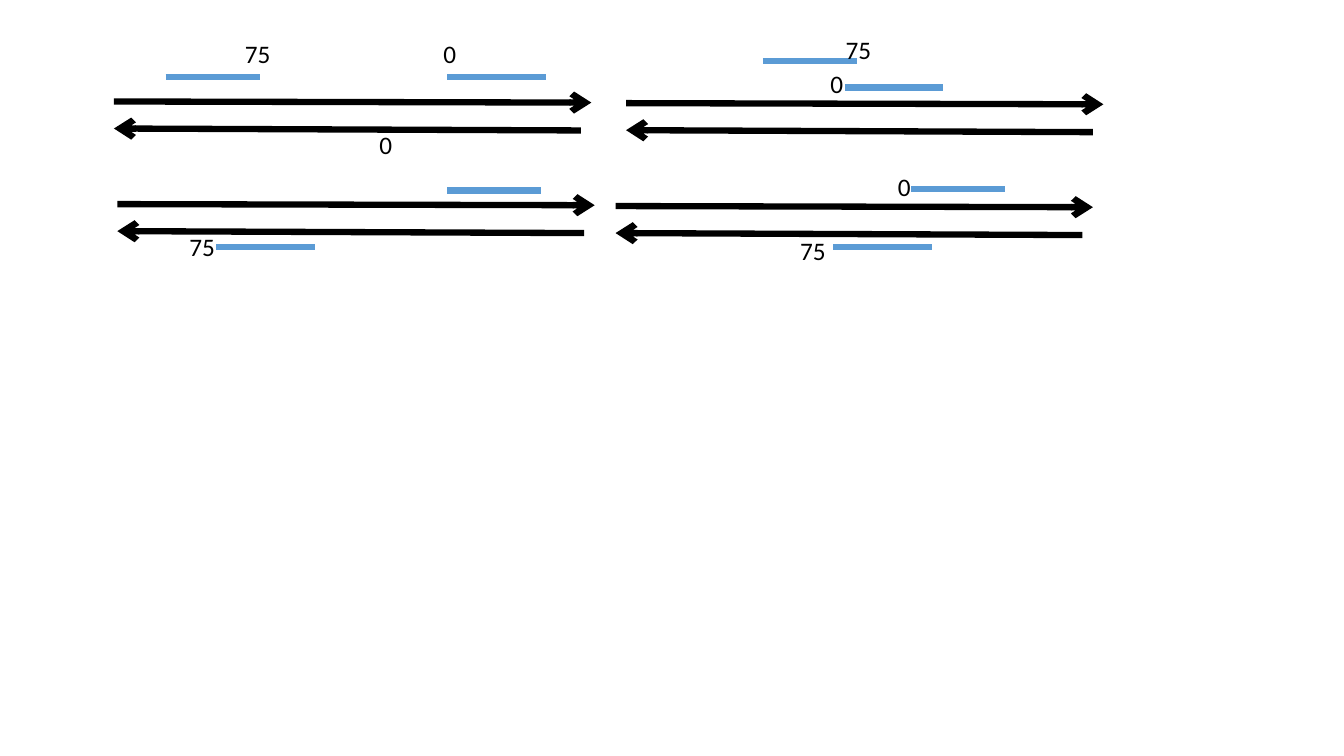
from pptx import Presentation
from pptx.dml.color import RGBColor
from pptx.enum import shapes, text
from pptx.oxml.ns import qn
from pptx.util import Pt
from lxml import etree

BLACK = RGBColor(0, 0, 0)
BLUE = RGBColor(0x5B, 0x9B, 0xD5)
STRAND_LENGTH = 341
REVERSE_LENGTH = 333.5
REVERSE_GAP = 19.3
SHORT_READ = 67
LONG_READ = 70.3

presentation = Presentation()
presentation.slide_width = Pt(960)
presentation.slide_height = Pt(540)
slide = presentation.slides.add_slide(presentation.slide_layouts[6])


def add_line(left, top, length, drop, color, arrow_end=None):
    connector = slide.shapes.add_connector(
        shapes.MSO_CONNECTOR.STRAIGHT,
        Pt(left), Pt(top), Pt(left + length), Pt(top + drop))
    connector.line.color.rgb = color
    connector.line.width = Pt(4.5)
    if arrow_end:
        line = connector.line._get_or_add_ln()
        etree.SubElement(line, qn("a:" + arrow_end), type="arrow")
    etree.SubElement(connector._element.spPr, qn("a:effectLst"))


read_pairs = [
    ((81.4, 72.5), (118.4, 54.8), (319.5, 54.8)),
    ((83.8, 145.8), (319.5, 136.2), (154.6, 176.5)),
    ((447.2, 73.7), (545, 43.5), (603.5, 62.4)),
    ((439.7, 147.2), (650.8, 135), (595.2, 176.5)),
]
for (left, top), short_read, long_read in read_pairs:
    add_line(left, top, STRAND_LENGTH, 0.8, BLACK, "tailEnd")
    add_line(left, top + REVERSE_GAP, REVERSE_LENGTH, 1.4, BLACK, "headEnd")
    add_line(*short_read, SHORT_READ, 0, BLUE)
    add_line(*long_read, LONG_READ, 0, BLUE)

position_labels = [
    ("0", 309.6, 23.8, 23.8, False),
    ("75", 167.8, 23.8, 33, False),
    ("0", 586.1, 45.4, 23.8, False),
    ("75", 596.9, 20.9, 43.2, True),
    ("0", 263.9, 88.8, 37.4, True),
    ("75", 128.2, 162, 33, False),
    ("0", 634.3, 118.8, 23.8, False),
    ("75", 564.5, 164.2, 43.2, True),
]
for position, left, top, width, wraps in position_labels:
    label = slide.shapes.add_textbox(Pt(left), Pt(top), Pt(width), Pt(29))
    label.text_frame.word_wrap = wraps
    label.text_frame.auto_size = text.MSO_AUTO_SIZE.SHAPE_TO_FIT_TEXT
    paragraph = label.text_frame.paragraphs[0]
    paragraph.text = position
    paragraph.font.name = "Calibri"
    paragraph.font.size = Pt(18)
    paragraph.font.color.rgb = BLACK

presentation.save("out.pptx")
